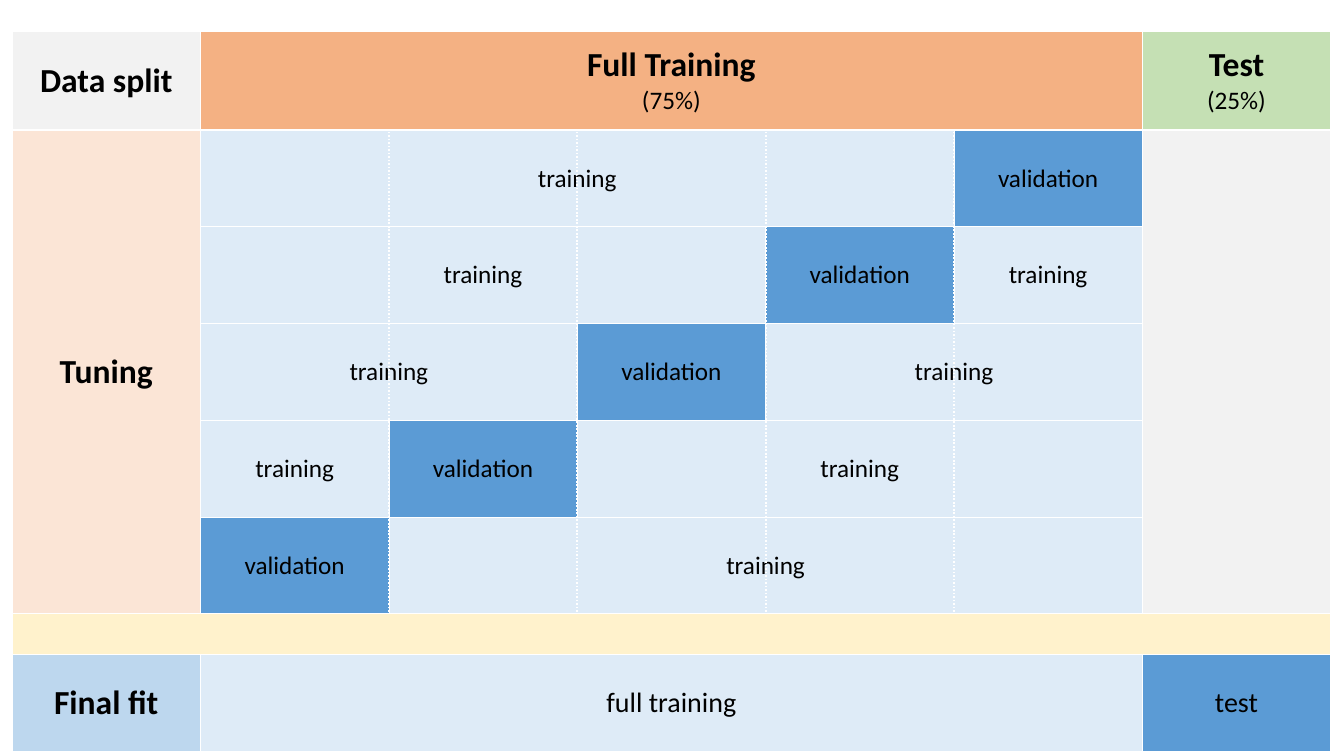
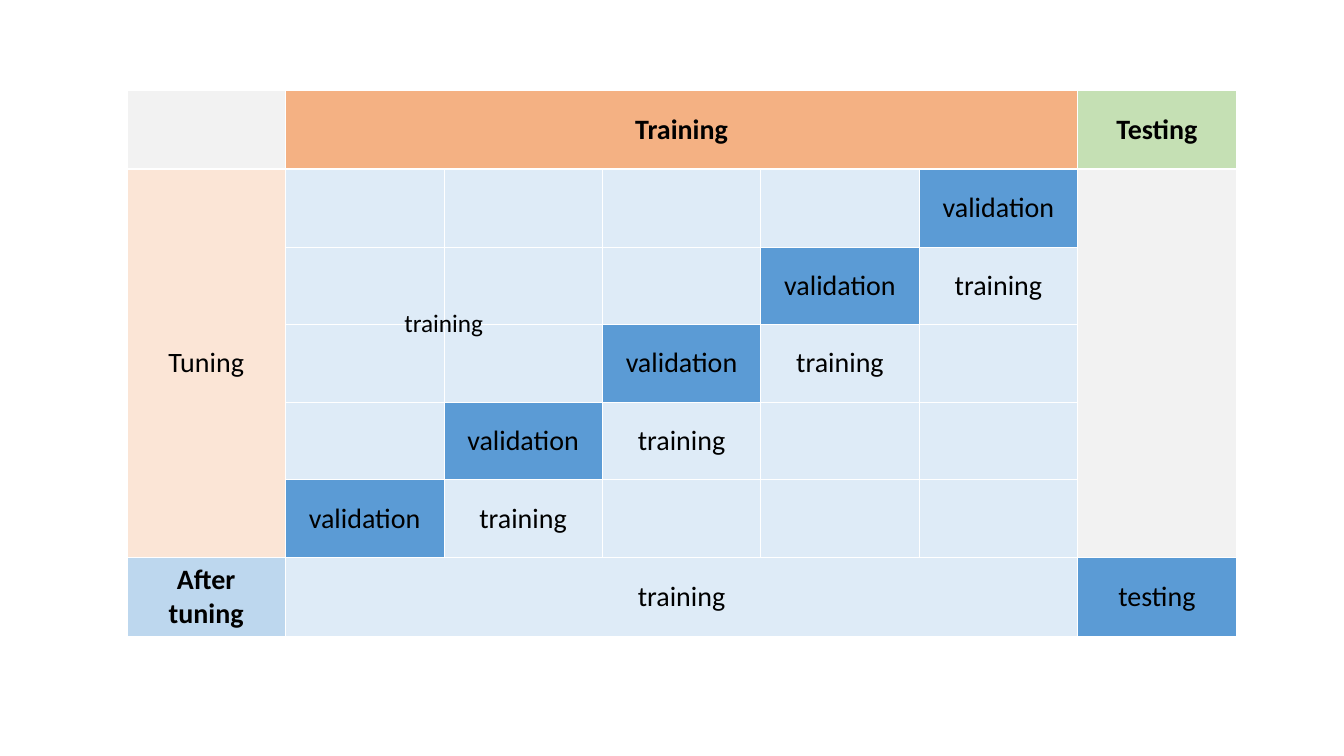
import pptx
import pptx.dml.color
import pptx.enum.dml
import pptx.enum.shapes
import pptx.enum.text
import pptx.oxml.ns
import pptx.util
import lxml.etree

Inches = pptx.util.Inches
Pt = pptx.util.Pt
qn = pptx.oxml.ns.qn

WHITE, BLACK = "FFFFFF", "000000"
GREY, ORANGE, GREEN = "F2F2F2", "F4B183", "C5E0B4"
PEACH, PALE, BLUE = "FBE5D6", "DEEBF7", "5B9BD5"
SKY, CREAM = "BDD7EE", "FFF2CC"
COLS, FOLDS = 7, 5
THIN, THICK = 0.45, 1.47


def font(size, bold=False):
    return {"name": "Calibri", "size": Pt(size), "bold": bold}


TITLE, HEAD = font(24, True), font(20, True)
LARGE, BODY = font(20), font(18)


def color(value):
    return pptx.dml.color.RGBColor.from_string(value)


def write(tf, lines):
    for i, (text, fmt) in enumerate(lines):
        p = tf.add_paragraph() if i else tf.paragraphs[0]
        p.alignment = pptx.enum.text.PP_ALIGN.CENTER
        r = p.add_run()
        r.text = text
        for name, value in fmt.items():
            setattr(r.font, name, value)
        r.font.color.rgb = color(BLACK)


def border(cell, row):
    tcPr = cell._tc.get_or_add_tcPr()
    heavy = {"lnB": row == 0, "lnT": row == 1}
    for side in ("lnL", "lnR", "lnT", "lnB"):
        width = THICK if heavy.get(side) else THIN
        ln = lxml.etree.SubElement(tcPr, qn("a:" + side), w=str(int(Pt(width))))
        fill = lxml.etree.SubElement(ln, qn("a:solidFill"))
        lxml.etree.SubElement(fill, qn("a:srgbClr"), val=WHITE)


def add_grid(s, left, top, width, heights):
    frame = s.shapes.add_table(len(heights), COLS, Inches(left), Inches(top),
                               Inches(width), Inches(sum(heights)))
    table = frame.table
    table.first_row = table.horz_banding = False
    for i, height in enumerate(heights):
        table.rows[i].height = Inches(height)
        for cell in table.rows[i].cells:
            border(cell, i)
    return table


def block(table, row, col, fill, lines=(), rows=1, cols=1):
    cell = table.cell(row, col)
    if rows * cols > 1:
        cell.merge(table.cell(row + rows - 1, col + cols - 1))
    cell.fill.solid()
    cell.fill.fore_color.rgb = color(fill)
    cell.vertical_anchor = pptx.enum.text.MSO_ANCHOR.MIDDLE
    write(cell.text_frame, lines)


def frame_blocks(table, corner, train, test, tuning, final):
    last = len(table.rows) - 1
    block(table, 0, 0, GREY, corner)
    block(table, 0, 1, ORANGE, train, cols=FOLDS)
    block(table, 0, 6, GREEN, test)
    block(table, 1, 0, PEACH, tuning, rows=FOLDS)
    block(table, 1, 6, GREY, rows=FOLDS)
    label, fit, check = final
    block(table, last, 0, SKY, [label])
    block(table, last, 1, PALE, [fit], cols=FOLDS)
    block(table, last, 6, BLUE, [check])


def merged_folds(table, fmt):
    for row in range(1, FOLDS + 1):
        val = FOLDS + 1 - row
        block(table, row, val, BLUE, [("validation", fmt)])
        for start, count in ((1, val - 1), (val + 1, FOLDS - val)):
            if count:
                block(table, row, start, PALE, [("training", fmt)], cols=count)


def single_folds(table, fmt):
    for row in range(1, FOLDS + 1):
        val = FOLDS + 1 - row
        labels = {val: [("validation", fmt)], val + 1: [("training", fmt)]}
        for col in range(1, FOLDS + 1):
            block(table, row, col, BLUE if col == val else PALE, labels.get(col, ()))


def dotted_line(s, x, bottom, top):
    line = s.shapes.add_connector(pptx.enum.shapes.MSO_CONNECTOR.STRAIGHT,
                                  Inches(x), Inches(bottom), Inches(x), Inches(top))
    line.line.color.rgb = color(WHITE)
    line.line.width = Pt(1.25)
    line.line.dash_style = pptx.enum.dml.MSO_LINE.ROUND_DOT
    lxml.etree.SubElement(line._element.spPr, qn("a:effectLst"))


def add_label(s, left, top, width, height, text, fmt):
    tf = s.shapes.add_textbox(Inches(left), Inches(top), Inches(width), Inches(height)).text_frame
    tf.word_wrap = True
    tf.auto_size = pptx.enum.text.MSO_AUTO_SIZE.SHAPE_TO_FIT_TEXT
    write(tf, [(text, fmt)])


def split_slide(s):
    left, width = 0.12, 13.09
    table = add_grid(s, left, 0.31, width, [0.98] + [0.96] * FOLDS + [0.17, 0.96])
    frame_blocks(table, [("Data split", TITLE)],
                 [("Full Training", TITLE), ("(75%)", BODY)],
                 [("Test", TITLE), ("(25%)", BODY)],
                 [("Tuning", TITLE)],
                 [("Final fit", TITLE), ("full training", LARGE), ("test", LARGE)])
    merged_folds(table, BODY)
    block(table, FOLDS + 1, 0, CREAM, cols=COLS)
    for col in range(2, FOLDS + 1):
        dotted_line(s, left + col * width / COLS, 6.07, 1.31)


def tuning_slide(s):
    table = add_grid(s, 1.26, 0.9, 11.01, [0.78] + [0.77] * (FOLDS + 1))
    frame_blocks(table, [], [("Training", HEAD)], [("Testing", HEAD)],
                 [("Tuning", LARGE)],
                 [("After tuning", HEAD), ("training", LARGE), ("testing", LARGE)])
    single_folds(table, LARGE)
    add_label(s, 3.81, 3, 1.19, 0.4, "training", BODY)


def main():
    prs = pptx.Presentation()
    prs.slide_width, prs.slide_height = Inches(13.34), Inches(7.5)
    for build in (split_slide, tuning_slide):
        build(prs.slides.add_slide(prs.slide_layouts[6]))
    prs.save("out.pptx")


if __name__ == "__main__":
    main()
